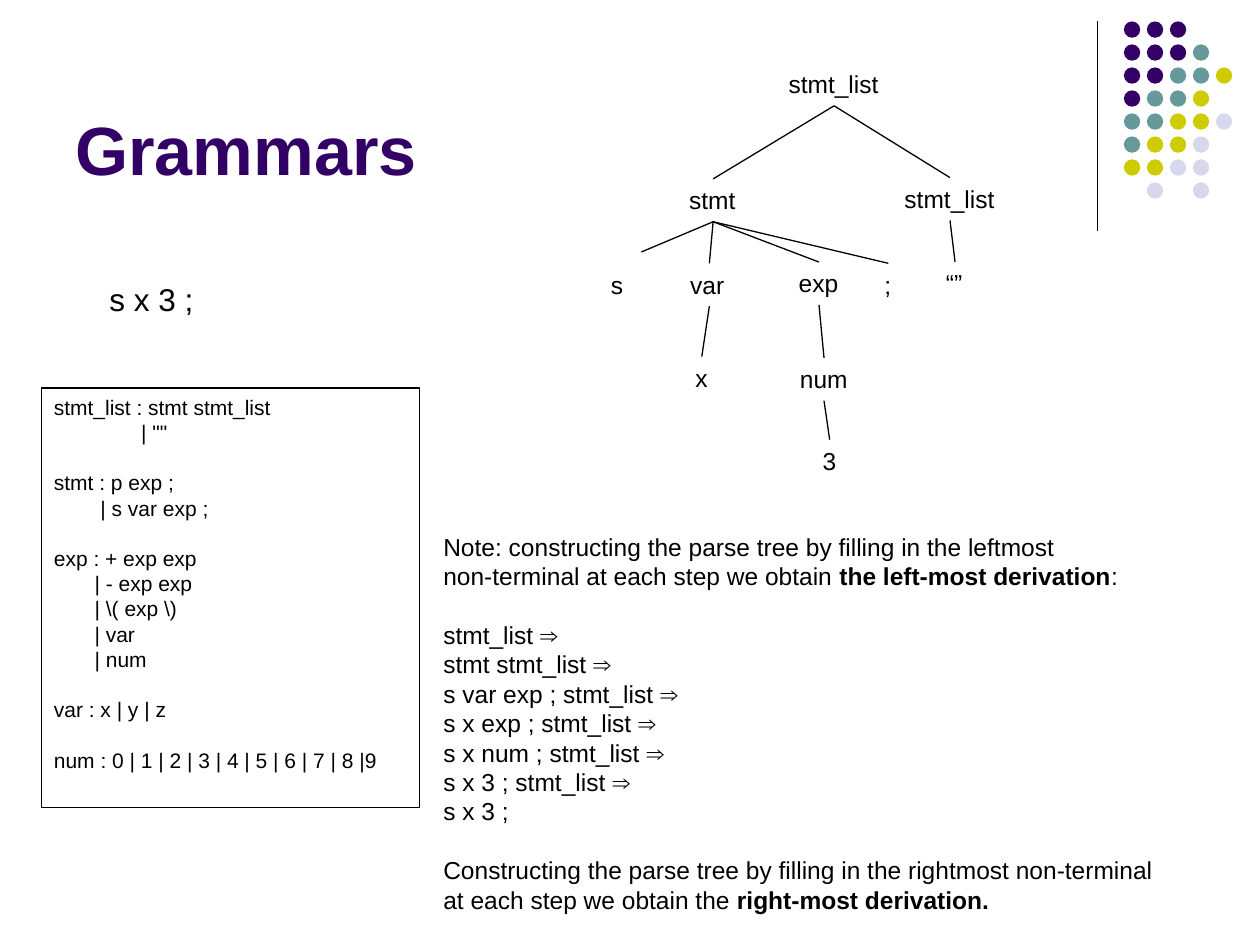
from lxml import etree
from pptx import Presentation
from pptx import util as u
from pptx.dml.color import RGBColor
from pptx.enum import shapes, text
from pptx.oxml import ns

DOT_COLOURS = {"P": "330066", "T": "669999", "Y": "CCCC00", "L": "D8D8EC"}
DOT_ROWS = ["PPP", "PPPT", "PPTTY", "PTTY", "TTYYL", "TYYL", "YYLL", " L L"]
DOT_PITCH = 0.73 / 4

# key: (label, left, top, width)
TREE_NODES = {
    "root": ("stmt_list", 6.16, 0.5, 0.92),
    "stmt": ("stmt", 5.37, 1.42, 0.58),
    "rest": ("stmt_list", 7.08, 1.41, 0.92),
    "s": ("s", 4.75, 2.09, 0.3),
    "var": ("var", 5.38, 2.09, 0.5),
    "exp": ("exp", 6.24, 2.08, 0.52),
    "semicolon": (";", 6.92, 2.09, 0.26),
    "empty": ("“”", 7.41, 2.08, 0.34),
    "x": ("x", 5.42, 2.83, 0.3),
    "num": ("num", 6.25, 2.84, 0.58),
    "three": ("3", 6.43, 3.49, 0.31),
}
TREE_EDGES = [
    ("root", "stmt"), ("root", "rest"),
    ("stmt", "var"), ("stmt", "exp"), ("stmt", "semicolon"),
    ("rest", "empty"), ("var", "x"), ("exp", "num"), ("num", "three"),
]

# Each inner list is a group of lines, set apart by one line of space.
GRAMMAR = [
    ["stmt_list : stmt stmt_list", '               | ""'],
    ["stmt : p exp ;", "        | s var exp ;"],
    ["exp : + exp exp", "       | - exp exp", "       | \\( exp \\)",
     "       | var", "       | num"],
    ["var : x | y | z"],
    ["num : 0 | 1 | 2 | 3 | 4 | 5 | 6 | 7 | 8 |9"],
]
DERIVATION = [
    ["Note: constructing the parse tree by filling in the leftmost\n"
     "non-terminal at each step we obtain **the left-most derivation**:"],
    ["stmt_list ⇒", "stmt stmt_list ⇒", "s var exp ; stmt_list ⇒",
     "s x exp ; stmt_list ⇒", "s x num ; stmt_list ⇒",
     "s x 3 ; stmt_list ⇒", "s x 3 ;"],
    ["Constructing the parse tree by filling in the rightmost non-terminal",
     "at each step we obtain the **right-most derivation.**"],
]


def rgb(colour):
    return RGBColor.from_string(colour)


class SlideBuilder:
    font = "Arial"
    ink = "000000"
    line_width = u.Pt(0.75)
    line_height = 1.2

    def __init__(self, slide):
        self.slide = slide

    def fill_text(self, frame, groups, size=14, colour=ink, bold=False,
                  wrap=False, anchor=text.MSO_ANCHOR.TOP):
        """Fill a frame with groups of lines; **marks** make text bold."""
        frame.word_wrap = wrap
        frame.vertical_anchor = anchor
        pitch = u.Pt(size * self.line_height)
        for group_no, group in enumerate(groups):
            for line_no, line in enumerate(group):
                first = group_no == line_no == 0
                paragraph = frame.paragraphs[0] if first else frame.add_paragraph()
                paragraph.alignment = text.PP_ALIGN.LEFT
                paragraph.line_spacing = pitch
                if group_no and not line_no:
                    paragraph.space_before = pitch
                for part_no, part in enumerate(line.split("**")):
                    for row_no, row in enumerate(part.split("\n")):
                        if row_no:
                            paragraph.add_line_break()
                        if row:
                            run = paragraph.add_run()
                            run.text = row
                            run.font.name = self.font
                            run.font.size = u.Pt(size)
                            run.font.bold = bold or part_no % 2 == 1
                            run.font.color.rgb = rgb(colour)

    def label(self, groups, left, top, width, height, **style):
        box = self.slide.shapes.add_textbox(
            u.Inches(left), u.Inches(top), u.Inches(width), u.Inches(height))
        self.fill_text(box.text_frame, groups, **style)
        return box

    def shape(self, kind, left, top, width, height, fill=None, line=None):
        shape = self.slide.shapes.add_shape(
            kind, u.Inches(left), u.Inches(top), u.Inches(width), u.Inches(height))
        shape.shadow.inherit = False
        if fill:
            shape.fill.solid()
            shape.fill.fore_color.rgb = rgb(fill)
        else:
            shape.fill.background()
        if line:
            shape.line.color.rgb = rgb(line)
            shape.line.width = self.line_width
        else:
            shape.line.fill.background()
        return shape

    def line(self, x1=0, y1=0, x2=0, y2=0):
        line = self.slide.shapes.add_connector(
            shapes.MSO_CONNECTOR.STRAIGHT,
            u.Inches(x1), u.Inches(y1), u.Inches(x2), u.Inches(y2))
        line.line.color.rgb = rgb(self.ink)
        line.line.width = self.line_width
        etree.SubElement(line._element.spPr, ns.qn("a:effectLst"))
        return line

    def edge(self, parent, child):
        """Join the bottom of a parent node to the top of its child."""
        line = self.line()
        line.begin_connect(parent, 2)
        line.end_connect(child, 0)


def main():
    deck = Presentation()
    deck.slide_width, deck.slide_height = u.Inches(10), u.Inches(7.5)
    builder = SlideBuilder(deck.slides.add_slide(deck.slide_layouts[6]))

    builder.line(8.71, 0.17, 8.71, 1.83)
    for row_no, row in enumerate(DOT_ROWS):
        for column_no, code in enumerate(row):
            if code in DOT_COLOURS:
                builder.shape(shapes.MSO_SHAPE.OVAL, 8.92 + column_no * DOT_PITCH,
                              0.17 + row_no * DOT_PITCH, 0.13, 0.13,
                              fill=DOT_COLOURS[code])

    builder.label([["Grammars"]], 0.5, 0.13, 8.25, 1.42, size=39, bold=True,
                  colour="330066", wrap=True, anchor=text.MSO_ANCHOR.BOTTOM)
    builder.label([["s x 3 ;"]], 0.77, 2.17, 0.88, 0.4, size=18)

    nodes = {key: builder.label([[label]], left, top, width, 0.34)
             for key, (label, left, top, width) in TREE_NODES.items()}
    for parent, child in TREE_EDGES:
        builder.edge(nodes[parent], nodes[child])
    to_s = builder.line(5.66, 1.76, 5.09, 2)
    to_s.begin_connect(nodes["stmt"], 2)

    builder.label(DERIVATION, 3.42, 4.17, 5.86, 3.16)
    grammar_box = builder.shape(shapes.MSO_SHAPE.RECTANGLE, 0.33, 3.08, 3, 3.33,
                                line=builder.ink)
    builder.fill_text(grammar_box.text_frame, GRAMMAR, size=12, wrap=True)

    deck.save("out.pptx")


if __name__ == "__main__":
    main()
